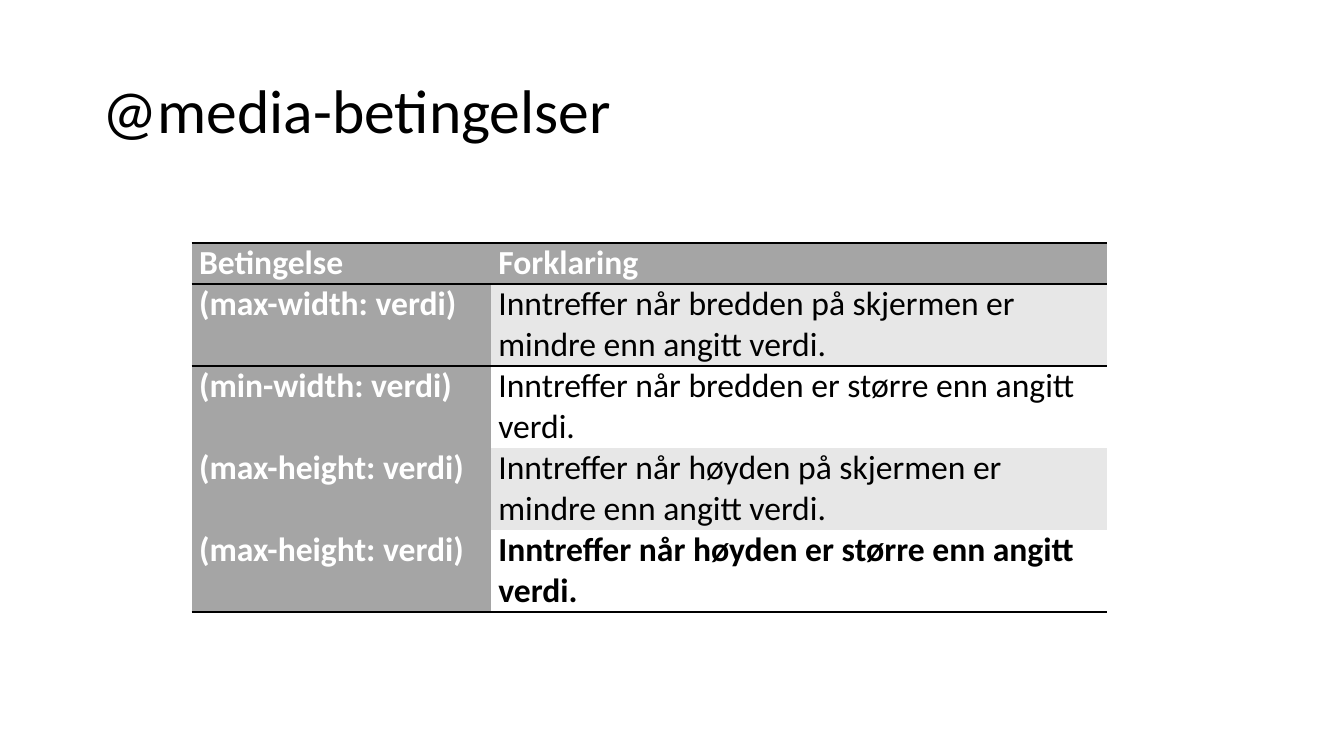
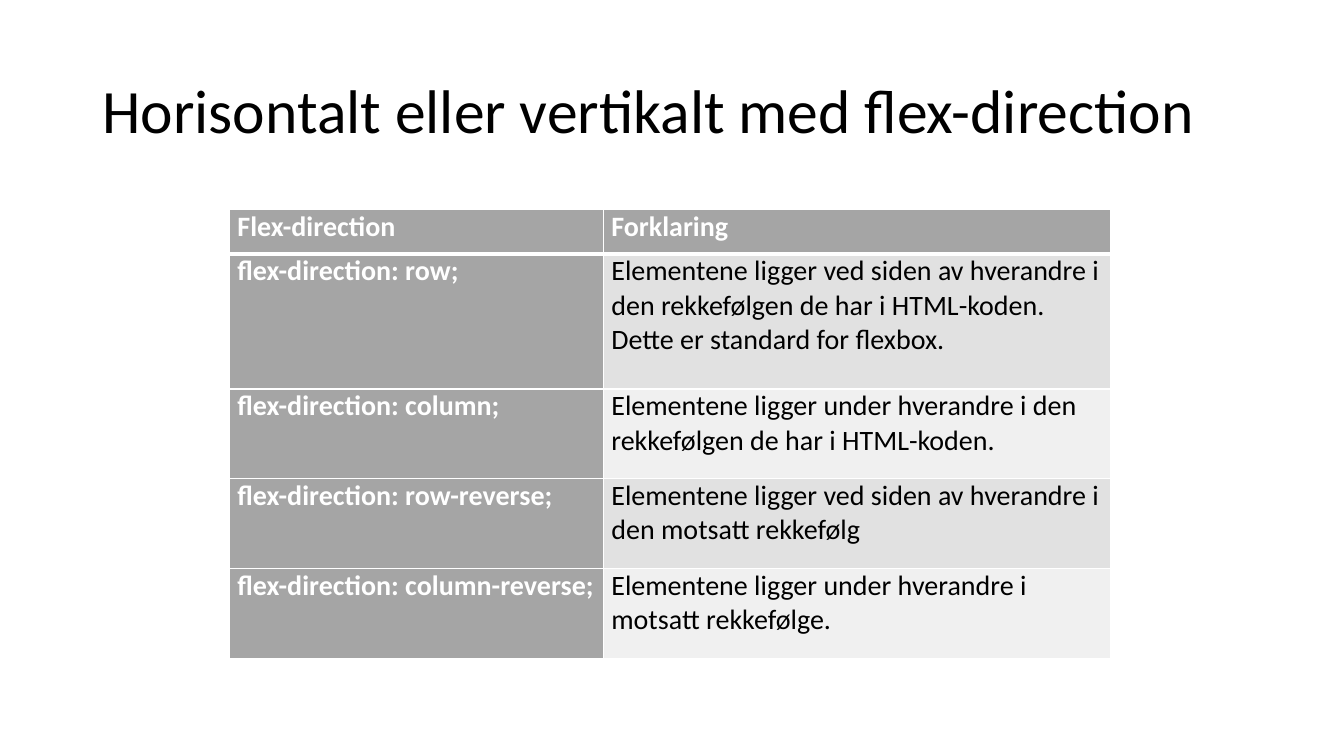
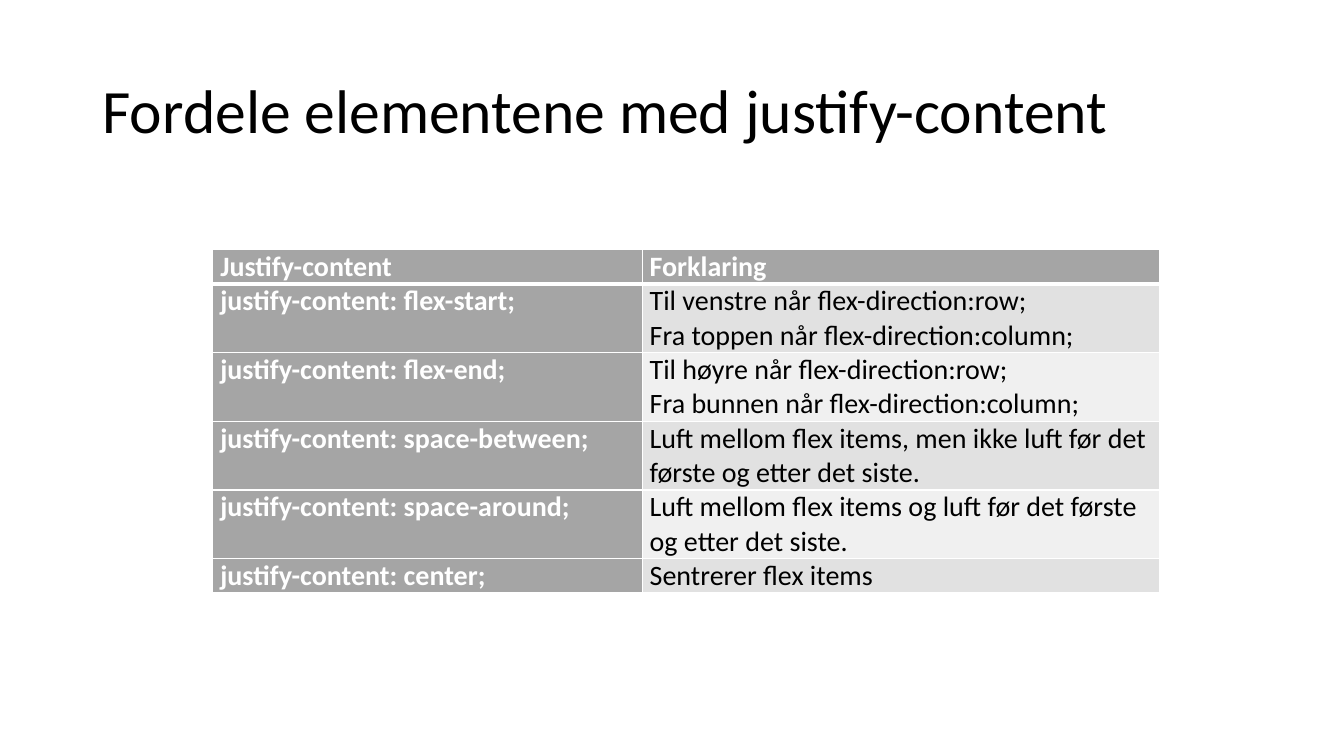
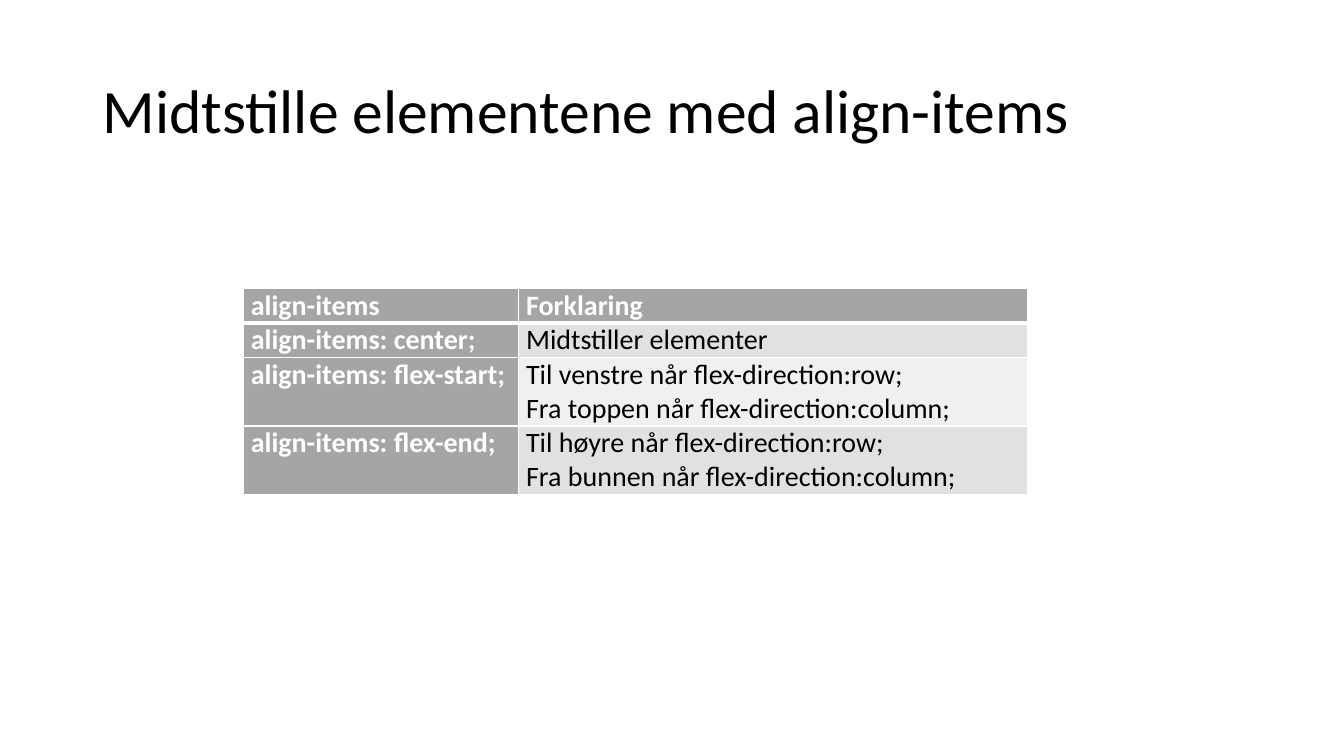
from lxml import etree
from pptx import Presentation
from pptx.dml.color import RGBColor
from pptx.enum import text
from pptx.oxml.ns import qn
from pptx.util import Pt

FONT = "Calibri"
BLACK, WHITE, GREY = "000000", "FFFFFF", "A5A5A5"
GRID_BANDS = ("E1E1E1", "F0F0F0")
RULE_BANDS = ("E7E7E7", WHITE)
NO_STYLE = "{2D5ABB26-0587-4C30-8999-92F81FD0307C}"


def rgb(value):
    return RGBColor.from_string(value)


def set_border(cell, side, color, width):
    """Draw one edge (L, R, T or B) of a cell; call before setting its fill."""
    ln = etree.SubElement(cell._tc.get_or_add_tcPr(), qn(f"a:ln{side}"), w=str(Pt(width)))
    fill = etree.SubElement(ln, qn("a:solidFill"))
    etree.SubElement(fill, qn("a:srgbClr"), val=color)


row_start = "Til venstre når flex-direction:row;\nFra toppen når flex-direction:column;"
row_end = "Til høyre når flex-direction:row;\nFra bunnen når flex-direction:column;"

# line is the row height for one line of text; each row gives its line count
pages = [
    dict(
        title="@media-betingelser", left=136.8, top=173.5, cols=(213.8, 439.9),
        size=24, line=29.3, grid=False,
        rows=[
            (1, "Betingelse", "Forklaring"),
            (2, "(max-width: verdi)",
             "Inntreffer når bredden på skjermen er mindre enn angitt verdi."),
            (2, "(min-width: verdi)", "Inntreffer når bredden er større enn angitt verdi."),
            (2, "(max-height: verdi)",
             "Inntreffer når høyden på skjermen er mindre enn angitt verdi."),
            (2, "(max-height: verdi)", "Inntreffer når høyden er større enn angitt verdi."),
        ],
    ),
    dict(
        title="Horisontalt eller vertikalt med flex-direction",
        left=164.2, top=149.5, cols=(267.1, 362.2), size=20, line=32.1, grid=True,
        rows=[
            (1, "Flex-direction", "Forklaring"),
            (3, "flex-direction: row;",
             "Elementene ligger ved siden av hverandre i den rekkefølgen de har i "
             "HTML-koden. Dette er standard for flexbox."),
            (2, "flex-direction: column;",
             "Elementene ligger under hverandre i den rekkefølgen de har i HTML-koden."),
            (2, "flex-direction: row-reverse;",
             "Elementene ligger ved siden av hverandre i den motsatt rekkefølg"),
            (2, "flex-direction: column-reverse;",
             "Elementene ligger under hverandre i motsatt rekkefølge."),
        ],
    ),
    dict(
        title="Fordele elementene med justify-content",
        left=152, top=178.5, cols=(306.7, 369.4), size=20, line=24.4, grid=True,
        rows=[
            (1, "Justify-content", "Forklaring"),
            (2, "justify-content: flex-start;", row_start),
            (2, "justify-content: flex-end;", row_end),
            (2, "justify-content: space-between;",
             "Luft mellom flex items, men ikke luft før det første og etter det siste."),
            (2, "justify-content: space-around;",
             "Luft mellom flex items og luft før det første og etter det siste."),
            (1, "justify-content: center;", "Sentrerer flex items"),
        ],
    ),
    dict(
        title="Midtstille elementene med align-items",
        left=173.8, top=206.2, cols=(196.6, 363.6), size=20, line=24.4, grid=True,
        rows=[
            (1, "align-items", "Forklaring"),
            (1, "align-items: center;", "Midtstiller elementer"),
            (2, "align-items: flex-start;", row_start),
            (2, "align-items: flex-end;", row_end),
        ],
    ),
]

prs = Presentation()
prs.slide_width, prs.slide_height = Pt(960), Pt(540)
layout = prs.slide_layouts[5]

for page in pages:
    s = prs.slides.add_slide(layout)

    title = s.shapes.title
    title.left, title.top, title.width, title.height = Pt(66), Pt(28.75), Pt(828), Pt(104.4)
    tf = title.text_frame
    tf.auto_size = text.MSO_AUTO_SIZE.NONE
    tf.vertical_anchor = text.MSO_ANCHOR.MIDDLE
    p = tf.paragraphs[0]
    p.alignment = text.PP_ALIGN.LEFT
    p.line_spacing = 0.9
    r = p.add_run()
    r.text = page["title"]
    r.font.name, r.font.size, r.font.color.rgb = FONT, Pt(44), rgb(BLACK)

    rows, cols, line = page["rows"], page["cols"], page["line"]
    height = line * sum(row[0] for row in rows)
    table = s.shapes.add_table(len(rows), len(cols), Pt(page["left"]), Pt(page["top"]),
                               Pt(sum(cols)), Pt(height)).table
    table._tbl.tblPr.find(qn("a:tableStyleId")).text = NO_STYLE
    for column, width in zip(table.columns, cols):
        column.width = Pt(width)

    last = len(rows) - 1
    for i, (lines, *texts) in enumerate(rows):
        table.rows[i].height = Pt(line * lines)
        for j, content in enumerate(texts):
            cell = table.cell(i, j)
            if page["grid"]:
                widths = dict(L=1, R=1, T=3 if i == 1 else 1, B=3 if i == 0 else 1)
                border, bands = WHITE, GRID_BANDS
            else:
                widths = dict(T=2 if i < 2 else 0, B=2 if i in (0, last) else 0)
                border, bands = BLACK, RULE_BANDS
            for side, width in widths.items():
                if width:
                    set_border(cell, side, border, width)

            heading = i == 0 or j == 0
            cell.fill.solid()
            cell.fill.fore_color.rgb = rgb(GREY if heading else bands[(i - 1) % 2])
            cell.margin_left = cell.margin_right = Pt(5.4)
            cell.margin_top = cell.margin_bottom = 0
            tf = cell.text_frame
            for k, part in enumerate(content.split("\n")):
                p = tf.add_paragraph() if k else tf.paragraphs[0]
                r = p.add_run()
                r.text = part
                r.font.name, r.font.size = FONT, Pt(page["size"])
                r.font.bold = heading or (i == last and not page["grid"])
                r.font.color.rgb = rgb(WHITE if heading else BLACK)

prs.save("out.pptx")
